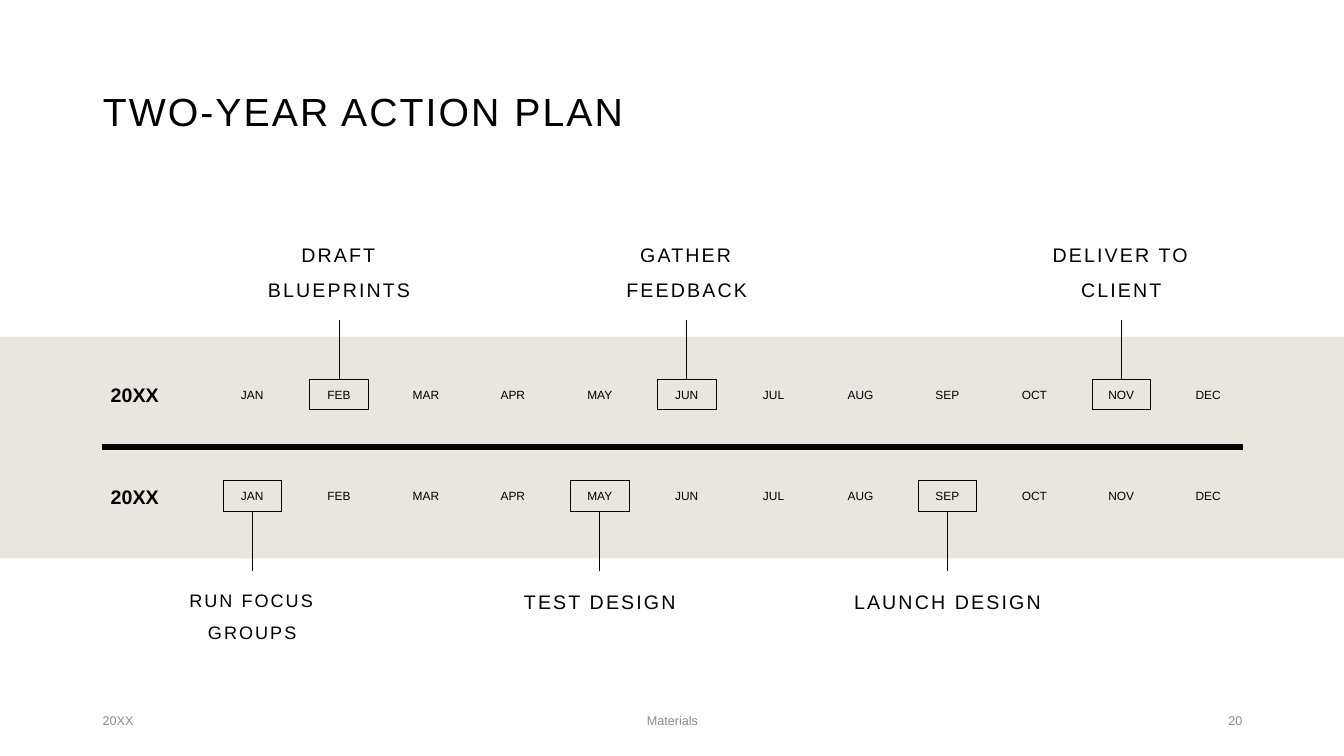
from collections import namedtuple
from lxml import etree
from pptx import Presentation
from pptx.dml.color import RGBColor
from pptx.enum.shapes import MSO_CONNECTOR, MSO_SHAPE
from pptx.enum.text import MSO_ANCHOR as Anchor, MSO_AUTO_SIZE, PP_ALIGN as Align
from pptx.oxml.ns import qn
from pptx.util import Inches, Pt

COLORS = {"ink": "000000", "band": "E9E6DF", "muted": "8C8C8C"}
FONT = "Arial"
WIDTH, HEIGHT = 13.33, 7.5
MONTHS = "JAN FEB MAR APR MAY JUN JUL AUG SEP OCT NOV DEC".split()
FIRST_COLUMN, COLUMN = 1.07, 0.862
MARKER_WIDTH, STEM = 0.58, 0.59
LABEL_WIDTH, LABEL_HEIGHT = 2.25, 0.61

Box = namedtuple("Box", "left top width height")


def color(name):
    return RGBColor.from_string(COLORS[name])


def inches(box):
    return [Inches(length) for length in box]


def write(shape, text, size, align=Align.LEFT, anchor=Anchor.MIDDLE, ink="ink",
          bold=False, line=None, before=0, tracking=0):
    frame = shape.text_frame
    frame.word_wrap = True
    frame.auto_size = MSO_AUTO_SIZE.NONE
    frame.vertical_anchor = anchor
    para = frame.paragraphs[0]
    para.alignment = align
    para.space_before = Pt(before)
    if line:
        para.line_spacing = line
    span = para.add_run()
    span.text = text
    span.font.name = FONT
    span.font.size = Pt(size)
    span.font.bold = bold
    span.font.color.rgb = color(ink)
    if tracking:
        span.font._element.set("spc", str(int(tracking * 100)))


def add_text(page, box, text, size, **style):
    write(page.shapes.add_textbox(*inches(box)), text, size, **style)


def add_rect(page, box, fill=None, line_width=None):
    rect = page.shapes.add_shape(MSO_SHAPE.RECTANGLE, *inches(box))
    rect.shadow.inherit = False
    if fill:
        rect.fill.solid()
        rect.fill.fore_color.rgb = color(fill)
    else:
        rect.fill.background()
    if line_width:
        rect.line.color.rgb = color("ink")
        rect.line.width = Pt(line_width)
    else:
        rect.line.fill.background()
    return rect


def add_band(page, box):
    add_rect(page, box, fill="band")
    add_rect(page, Box(box.left + 1.02, box.top + 1.07, 11.3, 0.05),
             fill="ink", line_width=1)


def add_title(page, box, text):
    title = page.shapes.title
    title.left, title.top, title.width, title.height = inches(box)
    write(title, text, 28, line=0.9, tracking=1.5)


def add_milestone(page, row, month, text, size, above):
    center = row.left + FIRST_COLUMN + (MONTHS.index(month) + 0.5) * COLUMN
    bottom = row.top + row.height
    marker = add_rect(page, Box(center - MARKER_WIDTH / 2, row.top,
                                MARKER_WIDTH, row.height), line_width=0.5)
    side, start, end = (0, row.top, row.top - STEM) if above else (2, bottom, bottom + STEM)
    stem = page.shapes.add_connector(MSO_CONNECTOR.STRAIGHT, Inches(center), Inches(start),
                                     Inches(center), Inches(end))
    stem.begin_connect(marker, side)
    stem.line.color.rgb = color("ink")
    stem.line.width = Pt(0.5)
    etree.SubElement(stem._element.spPr, qn("a:effectLst"))
    label_top = end - 0.13 - LABEL_HEIGHT if above else end + 0.03
    add_text(page, Box(center - LABEL_WIDTH / 2, label_top, LABEL_WIDTH, LABEL_HEIGHT),
             text, size, align=Align.CENTER, anchor=Anchor.BOTTOM if above else Anchor.TOP,
             line=1.5, before=10, tracking=1.5)


def add_year(page, row, year, milestones, above):
    add_text(page, Box(row.left, row.top - 0.08, 0.8, 0.5), year, 14,
             bold=True, line=0.9, before=10)
    for column, month in enumerate(MONTHS):
        center = row.left + FIRST_COLUMN + (column + 0.5) * COLUMN
        add_text(page, Box(center - 0.35, row.top + 0.07, 0.7, 0.22), month, 8.5,
                 align=Align.CENTER, anchor=Anchor.TOP, line=0.7, before=10)
    for month, text, size in milestones:
        add_milestone(page, row, month, text, size, above)


def add_footer(page, box, date, name, number):
    side = 3
    add_text(page, box._replace(width=side), date, 9, ink="muted")
    add_text(page, Box(box.left + 3.5, box.top, box.width - 7, box.height), name, 9,
             align=Align.CENTER, ink="muted")
    add_text(page, Box(box.left + box.width - side, box.top, side, box.height), number, 9,
             align=Align.RIGHT, ink="muted")


def main():
    deck = Presentation()
    deck.slide_width, deck.slide_height = Inches(WIDTH), Inches(HEIGHT)
    page = deck.slides.add_slide(deck.slide_layouts[5])
    add_band(page, Box(0, 3.34, WIDTH, 2.2))
    add_title(page, Box(0.92, 0.4, 11.5, 1.45), "TWO-YEAR ACTION PLAN")
    add_year(page, Box(1, 3.76, 11.4, 0.3), "20XX",
             [("FEB", "DRAFT BLUEPRINTS", 14), ("JUN", "GATHER FEEDBACK", 14),
              ("NOV", "DELIVER TO CLIENT", 14)], above=True)
    add_year(page, Box(1, 4.77, 11.4, 0.3), "20XX",
             [("JAN", "RUN FOCUS GROUPS", 12.9), ("MAY", "TEST DESIGN", 14),
              ("SEP", "LAUNCH DESIGN", 14)], above=False)
    add_footer(page, Box(0.92, 6.95, 11.5, 0.4), "20XX", "Materials", "20")
    deck.save("out.pptx")


if __name__ == "__main__":
    main()
